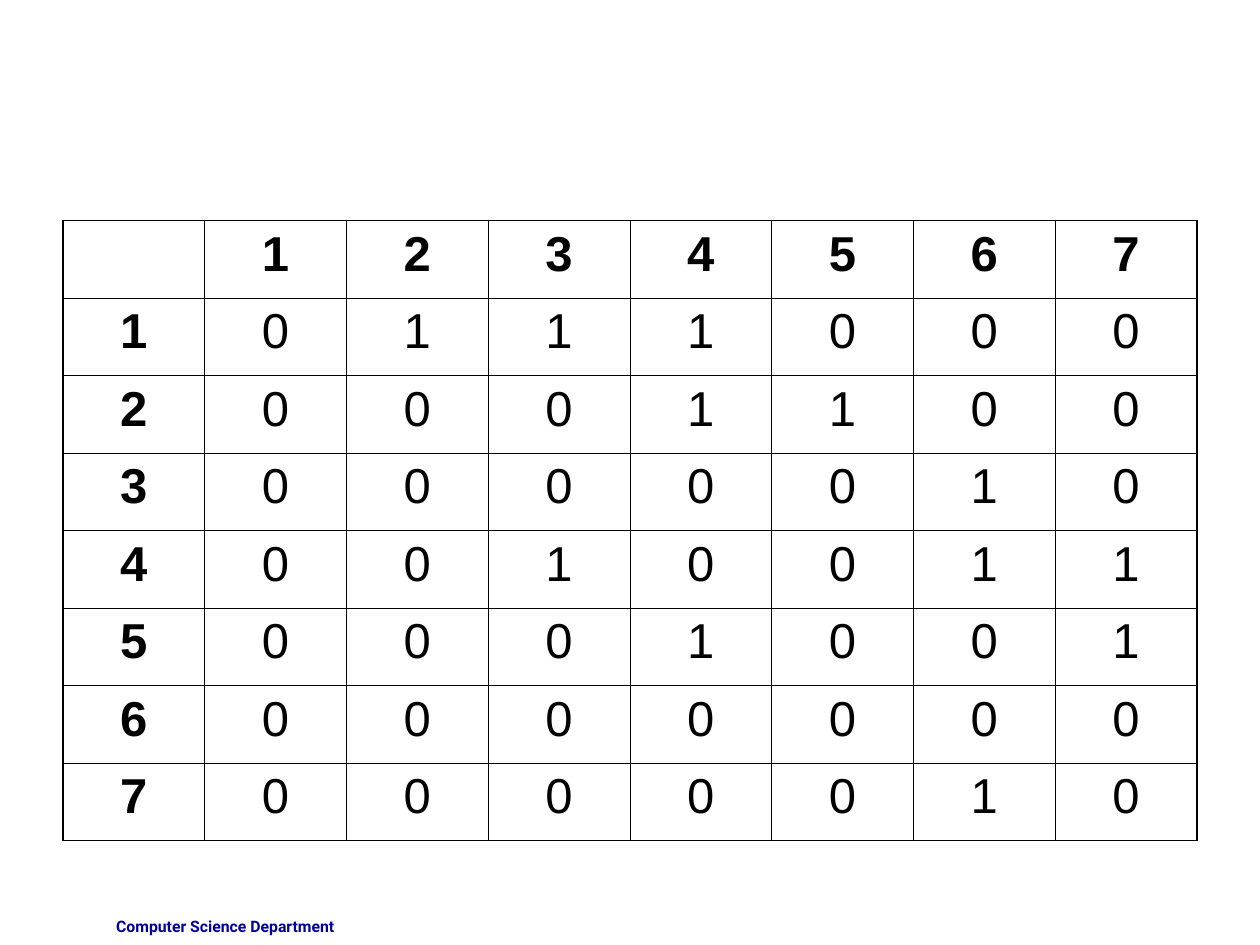
"""Build a slide with the adjacency matrix of a seven-vertex directed graph."""
from dataclasses import dataclass

from lxml.etree import SubElement
from pptx import Presentation
from pptx.dml.color import RGBColor
from pptx.enum.text import PP_ALIGN
from pptx.oxml.ns import qn
from pptx.util import Inches, Pt


@dataclass(frozen=True)
class TextFormat:
    name: str
    size: Pt
    bold: bool
    color: str
    alignment: PP_ALIGN


@dataclass(frozen=True)
class Theme:
    heading: TextFormat = TextFormat("Arial", Pt(28), True, "000000", PP_ALIGN.CENTER)
    value: TextFormat = TextFormat("Arial", Pt(28), False, "000000", PP_ALIGN.CENTER)
    footer: TextFormat = TextFormat("Roboto", Pt(9), True, "000099", PP_ALIGN.RIGHT)
    border: str = "000000"
    inner_width: Pt = Pt(0.45)
    outer_width: Pt = Pt(1.08)


@dataclass(frozen=True)
class Box:
    left: float
    top: float
    width: float
    height: float

    def lengths(self) -> tuple:
        return tuple(Inches(length) for length in (self.left, self.top, self.width, self.height))


THEME = Theme()
SLIDE_SIZE = Inches(10), Inches(7.5)
MATRIX_BOX = Box(0.5, 1.75, 9, 4.92)
FOOTER_BOX = Box(0.42, 7.23, 2.33, 0.27)
ADJACENCY = ("0111000", "0001100", "0000010", "0010011", "0001001", "0000000", "0000010")


def write_text(text_frame, text: str, text_format: TextFormat) -> None:
    paragraph = text_frame.paragraphs[0]
    paragraph.alignment = text_format.alignment
    run = paragraph.add_run()
    run.text = text
    for attribute in ("name", "size", "bold"):
        setattr(run.font, attribute, getattr(text_format, attribute))
    run.font.color.rgb = RGBColor.from_string(text_format.color)


def set_borders(cell, outer_sides: dict[str, bool]) -> None:
    properties = cell._tc.get_or_add_tcPr()
    for position, (side, is_outer) in enumerate(outer_sides.items()):
        width = THEME.outer_width if is_outer else THEME.inner_width
        line = SubElement(properties, qn(f"a:{side}"), w=str(int(width)))
        fill = SubElement(line, qn("a:solidFill"))
        SubElement(fill, qn("a:srgbClr"), val=THEME.border)
        properties.insert(position, line)


def add_matrix(slide, box: Box, adjacency: tuple[str, ...]) -> None:
    vertices = [str(number) for number in range(1, len(adjacency) + 1)]
    rows = [["", *vertices]] + [[vertex, *values] for vertex, values in zip(vertices, adjacency)]
    count = len(rows)
    table = slide.shapes.add_table(count, count, *box.lengths()).table
    table.first_row = table.horz_banding = False
    for column in table.columns:
        column.width = Inches(box.width / count)
    for row_index, row in enumerate(rows):
        table.rows[row_index].height = Inches(box.height / count)
        for column_index, text in enumerate(row):
            cell = table.cell(row_index, column_index)
            cell.fill.background()
            set_borders(cell, {
                "lnL": column_index == 0,
                "lnR": column_index == count - 1,
                "lnT": row_index == 0,
                "lnB": row_index == count - 1,
            })
            if text:
                is_heading = row_index == 0 or column_index == 0
                write_text(cell.text_frame, text, THEME.heading if is_heading else THEME.value)


def add_footer(slide, box: Box, text: str) -> None:
    shape = slide.shapes.add_textbox(*box.lengths())
    shape.text_frame.word_wrap = True
    write_text(shape.text_frame, text, THEME.footer)


def main() -> None:
    presentation = Presentation()
    presentation.slide_width, presentation.slide_height = SLIDE_SIZE
    slide = presentation.slides.add_slide(presentation.slide_layouts.get_by_name("Blank"))
    add_footer(slide, FOOTER_BOX, "Computer Science Department")
    add_matrix(slide, MATRIX_BOX, ADJACENCY)
    presentation.save("out.pptx")


if __name__ == "__main__":
    main()
